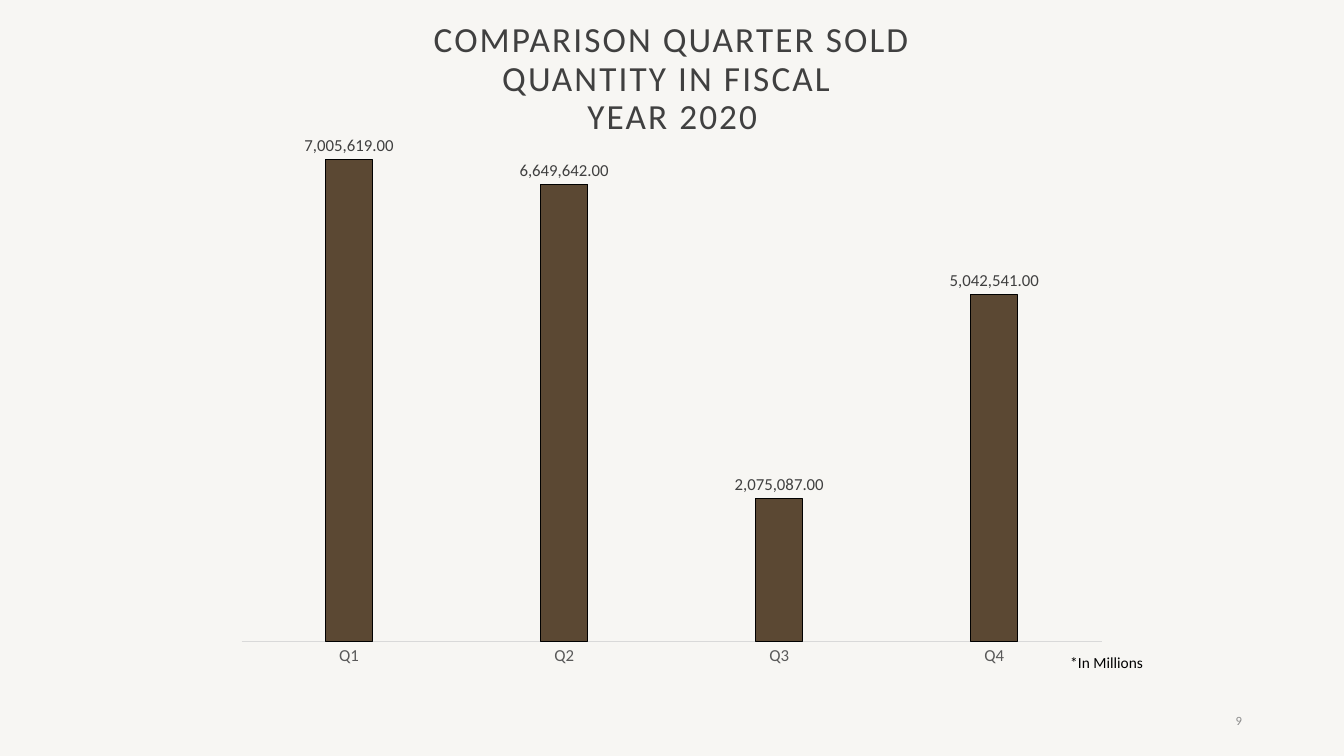
from lxml.etree import fromstring
from pptx import Presentation
from pptx.chart.data import CategoryChartData as Data
from pptx.dml.color import RGBColor as RGB
from pptx.enum.chart import XL_CHART_TYPE as Kind, XL_LABEL_POSITION as Spot
from pptx.enum.chart import XL_TICK_MARK as Tick
from pptx.enum.text import MSO_ANCHOR as Anchor, PP_ALIGN as Align
from pptx.util import Pt

TITLE = ["COMPARISON QUARTER SOLD QUANTITY IN FISCAL ", "YEAR 2020"]
SALES = {"Q1": 7005619, "Q2": 6649642, "Q3": 2075087, "Q4": 5042541}
NOTE = "*In Millions"
PAGE = "9"

FONT = "Calibri"
HEX = {"back": "F7F6F3", "title": "404040", "bar": "5B4833", "edge": "000000",
       "axis": "D9D9D9", "cat": "595959", "page": "8C8C8C"}

# left, top, width, height in points
BOX = {"title": (277.2, 24.5, 406.1, 64.8), "page": (678.2, 500.4, 216, 28.8),
       "chart": (159.8, 56.9, 640.1, 427), "note": (757.4, 463, 126.7, 20.9)}
PLOT = {"x": 0.02, "y": 0.02, "w": 0.96, "h": 0.92}


def color(key):
    return RGB.from_string(HEX[key])


def style(font, size, key):
    font.name, font.size = FONT, Pt(size)
    font.color.rgb = color(key)


def rect(key):
    return [Pt(n) for n in BOX[key]]


def add_text(slide, key, text, size, tint, align, anchor):
    frame = slide.shapes.add_textbox(*rect(key)).text_frame
    frame.word_wrap = True
    frame.vertical_anchor = anchor
    para = frame.paragraphs[0]
    para.alignment = align
    run = para.add_run()
    run.text = text
    style(run.font, size, tint)


def fill_title(title):
    title.left, title.top, title.width, title.height = rect("title")
    frame = title.text_frame
    frame.word_wrap = True
    frame.vertical_anchor = Anchor.MIDDLE
    para = frame.paragraphs[0]
    para.alignment, para.line_spacing = Align.CENTER, 0.9
    for i, line in enumerate(TITLE):
        if i:
            para.add_line_break()
        run = para.add_run()
        run.text = line
        style(run.font, 25.2, "title")
        run.font._element.set("spc", "150")


def fix_plot(chart):
    """Pin the inner plot area to the fractions in PLOT."""
    area = chart._chartSpace.chart.plotArea
    for old in area.findall("{*}layout"):
        area.remove(old)
    parts = "".join(f'<c:{k}Mode val="edge"/>' for k in "xy")
    parts += "".join(f'<c:{k} val="{v}"/>' for k, v in PLOT.items())
    area.insert(0, fromstring(
        '<c:layout xmlns:c="http://schemas.openxmlformats.org/drawingml/2006/chart">'
        f'<c:manualLayout><c:layoutTarget val="inner"/>{parts}'
        '</c:manualLayout></c:layout>'))


def add_bars(slide):
    data = Data()
    data.categories = list(SALES)
    data.add_series("Series 1", list(SALES.values()))
    chart = slide.shapes.add_chart(Kind.COLUMN_CLUSTERED, *rect("chart"), data).chart
    chart.has_legend = chart.has_title = False
    style(chart.font, 10, "edge")

    cat, val = chart.category_axis, chart.value_axis
    cat.major_tick_mark = cat.minor_tick_mark = Tick.NONE
    cat.format.line.color.rgb = color("axis")
    cat.format.line.width = Pt(0.75)
    style(cat.tick_labels.font, 12, "cat")
    val.minimum_scale, val.maximum_scale = 0, 8000000
    val.has_major_gridlines = val.visible = False

    plot = chart.plots[0]
    plot.gap_width, plot.overlap = 355, -70
    plot.vary_by_categories = False
    bars = plot.series[0]
    bars.format.fill.solid()
    bars.format.fill.fore_color.rgb = color("bar")
    bars.format.line.color.rgb = color("edge")
    bars.format.line.width = Pt(0.75)
    tags = bars.data_labels
    tags.show_value = True
    tags.position = Spot.OUTSIDE_END
    tags.number_format, tags.number_format_is_linked = "#,##0.00", False
    style(tags.font, 12, "title")
    fix_plot(chart)


def main():
    deck = Presentation()
    deck.slide_width, deck.slide_height = Pt(960), Pt(540)
    slide = deck.slides.add_slide(deck.slide_layouts[5])
    slide.background.fill.solid()
    slide.background.fill.fore_color.rgb = color("back")
    fill_title(slide.shapes.title)
    add_text(slide, "page", PAGE, 9, "page", Align.RIGHT, Anchor.MIDDLE)
    add_bars(slide)
    add_text(slide, "note", NOTE, 11, "edge", Align.LEFT, Anchor.TOP)
    deck.save("out.pptx")


if __name__ == "__main__":
    main()
